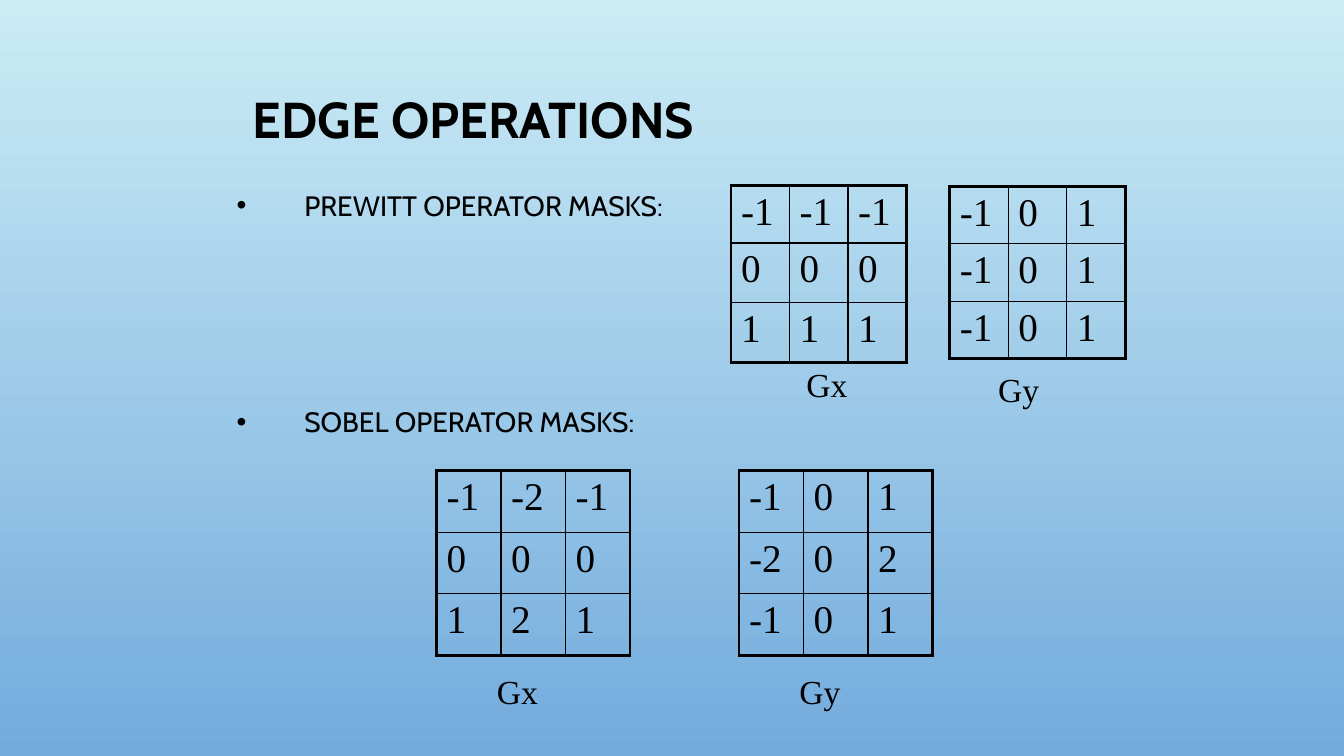
from lxml import etree
from pptx import Presentation
from pptx import util as u
from pptx.dml import color
from pptx.enum import text
from pptx.oxml import ns

# Content
TITLE = "EDGE OPERATIONS"
OPERATORS = ["PREWITT OPERATOR MASKS:", "SOBEL OPERATOR MASKS:"]
MASKS = [
    dict(label="Gx", label_at=(7.9, 3.56), at=(7.25, 1.84), column=0.58,
         rows=(0.57, 0.59, 0.6), values=[(-1, -1, -1), (0, 0, 0), (1, 1, 1)]),
    dict(label="Gy", label_at=(9.8, 3.61), at=(9.42, 1.85), column=0.58,
         rows=(0.57,) * 3, values=[(-1, 0, 1)] * 3),
    dict(label="Gx", label_at=(4.83, 6.61), at=(4.33, 4.67), column=0.64,
         rows=(0.61,) * 3, values=[(-1, -2, -1), (0, 0, 0), (1, 2, 1)]),
    dict(label="Gy", label_at=(7.83, 6.61), at=(7.33, 4.67), column=0.64,
         rows=(0.61,) * 3, values=[(-1, 0, 1), (-2, 0, 2), (-1, 0, 1)]),
]

THEME = dict(
    ink="000000", sky_top="CBECF5", sky_bottom="73ABDD",
    sans="Cabin", serif="Times New Roman",
    title=36, operator=20, value=28, label=24,
    outer=2.25, inner=1,
)


def rgb(name):
    return color.RGBColor.from_string(THEME[name])


def write(paragraph, words, size, font="serif", bold=False, align=None,
          line=None, before=0):
    paragraph.text = words
    paragraph.alignment = align
    paragraph.line_spacing = line
    paragraph.space_before = u.Pt(before)
    paragraph.font.size = u.Pt(THEME[size])
    paragraph.font.name = THEME[font]
    paragraph.font.bold = bold
    paragraph.font.color.rgb = rgb("ink")


def add_bullet(paragraph, indent):
    properties = paragraph._p.get_or_add_pPr()
    properties.set("marL", str(u.Inches(indent)))
    properties.set("indent", str(-u.Inches(indent)))
    etree.SubElement(properties, ns.qn("a:buFont"), typeface="Arial")
    etree.SubElement(properties, ns.qn("a:buChar"), char="•")


def add_borders(cell, row, column, last):
    edges = dict(lnL=column == 0, lnR=column == last,
                 lnT=row == 0, lnB=row == last)
    properties = cell._tc.get_or_add_tcPr()
    for position, (edge, is_outer) in enumerate(edges.items()):
        width = u.Pt(THEME["outer" if is_outer else "inner"])
        border = etree.Element(ns.qn("a:" + edge), w=str(width))
        fill = etree.SubElement(border, ns.qn("a:solidFill"))
        etree.SubElement(fill, ns.qn("a:srgbClr"), val=THEME["ink"])
        properties.insert(position, border)


def add_mask(slide, mask):
    left, top = mask["at"]
    size = len(mask["values"])
    grid = slide.shapes.add_table(
        size, size, u.Inches(left), u.Inches(top),
        u.Inches(size * mask["column"]), u.Inches(sum(mask["rows"]))).table
    grid.first_row = grid.horz_banding = False
    for column in grid.columns:
        column.width = u.Inches(mask["column"])
    for r, values in enumerate(mask["values"]):
        grid.rows[r].height = u.Inches(mask["rows"][r])
        for c, value in enumerate(values):
            cell = grid.cell(r, c)
            cell.fill.background()
            add_borders(cell, r, c, size - 1)
            write(cell.text_frame.paragraphs[0], str(value), "value")


def add_label(slide, mask):
    left, top = mask["label_at"]
    frame = slide.shapes.add_textbox(
        u.Inches(left), u.Inches(top), u.Inches(0.61), u.Inches(0.5)).text_frame
    frame.word_wrap = False
    frame.auto_size = text.MSO_AUTO_SIZE.SHAPE_TO_FIT_TEXT
    write(frame.paragraphs[0], mask["label"], "label")


def main():
    deck = Presentation()
    deck.slide_width, deck.slide_height = u.Inches(13.33), u.Inches(7.5)
    slide = deck.slides.add_slide(deck.slide_layouts[5])

    # Background, light at the top
    sky = slide.background.fill
    sky.gradient()
    sky.gradient_angle = 270
    for stop, name in zip(sky.gradient_stops, ("sky_top", "sky_bottom")):
        stop.color.rgb = rgb(name)

    # Title
    title = slide.shapes.title
    title.left, title.top = u.Inches(-0.97), u.Inches(0.34)
    title.width, title.height = u.Inches(11.33), u.Inches(1.75)
    title.text_frame.auto_size = text.MSO_AUTO_SIZE.NONE
    title.text_frame.vertical_anchor = text.MSO_ANCHOR.MIDDLE
    write(title.text_frame.paragraphs[0], TITLE, "title", font="sans",
          bold=True, align=text.PP_ALIGN.CENTER, line=0.9)

    # Operator list, spaced to leave room for the masks
    operators = slide.shapes.add_textbox(
        u.Inches(2.25), u.Inches(1.75), u.Inches(8.17), u.Inches(4.76)).text_frame
    operators.word_wrap = True
    for i, operator in enumerate(OPERATORS):
        paragraph = operators.add_paragraph() if i else operators.paragraphs[0]
        add_bullet(paragraph, 0.67)
        write(paragraph, operator, "operator", font="sans", line=1.2,
              before=126 if i else 0)

    # Masks with their labels
    for mask in MASKS:
        add_mask(slide, mask)
        add_label(slide, mask)

    deck.save("out.pptx")


if __name__ == "__main__":
    main()
